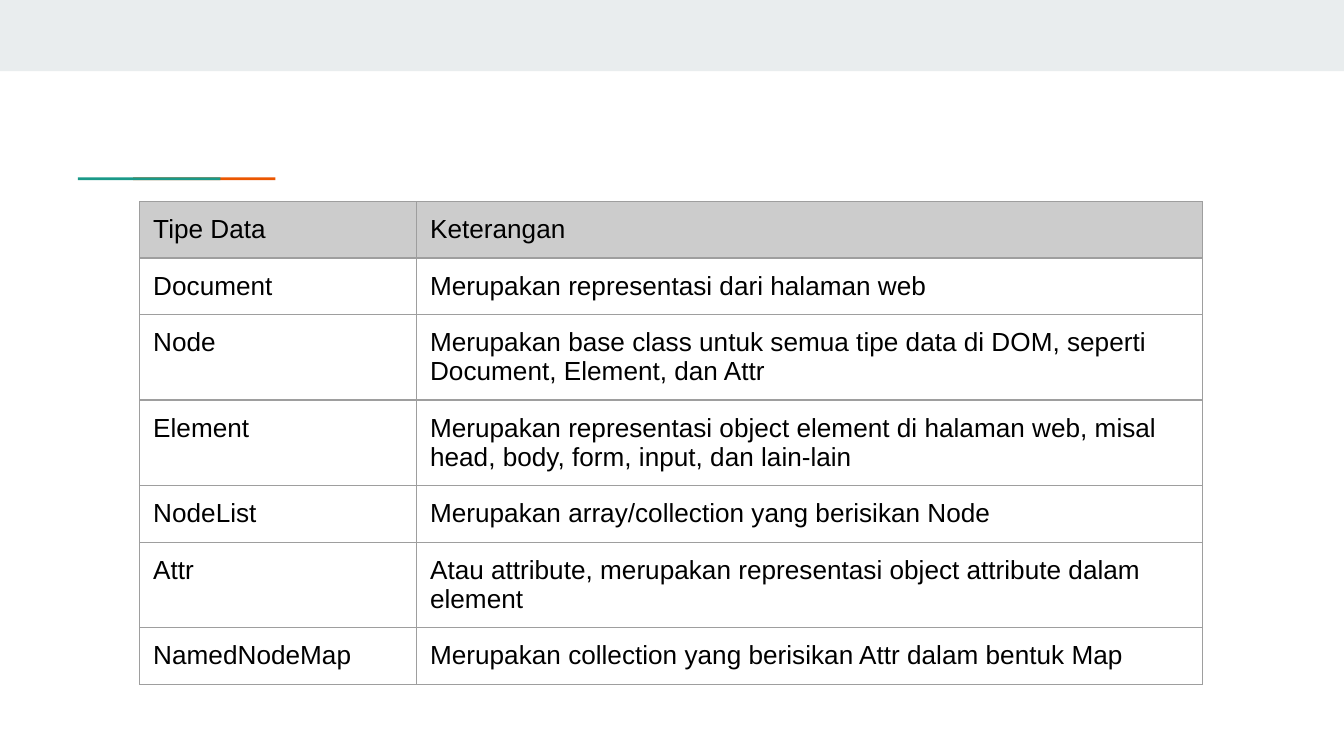
import pptx
import pptx.dml.color
import pptx.enum.shapes
import pptx.oxml
import pptx.oxml.ns
import pptx.util

Inches = pptx.util.Inches
RGBColor = pptx.dml.color.RGBColor

BAND = RGBColor(0xE9, 0xED, 0xEE)
ORANGE = RGBColor(0xEB, 0x56, 0x00)
TEAL = RGBColor(0x1A, 0x99, 0x88)
HEADER = RGBColor(0xCC, 0xCC, 0xCC)
BORDER = RGBColor(0x9E, 0x9E, 0x9E)
BLACK = RGBColor(0, 0, 0)


class Builder:
    font = "Arial"
    size = pptx.util.Pt(14)
    inset = Inches(0.1)
    border_width = pptx.util.Pt(0.75)

    def __init__(self, slide):
        self.s = slide

    def bar(self, x, y, w, h, color):
        sp = self.s.shapes.add_shape(
            pptx.enum.shapes.MSO_SHAPE.RECTANGLE,
            Inches(x), Inches(y), Inches(w), Inches(h))
        sp.shadow.inherit = False
        sp.fill.solid()
        sp.fill.fore_color.rgb = color
        sp.line.fill.background()

    def borders(self, cell):
        tc_pr = cell._tc.get_or_add_tcPr()
        for i, side in enumerate(("lnL", "lnR", "lnT", "lnB")):
            tc_pr.insert(i, pptx.oxml.parse_xml(
                f'<a:{side} {pptx.oxml.ns.nsdecls("a")} w="{self.border_width}">'
                f'<a:solidFill><a:srgbClr val="{BORDER}"/></a:solidFill></a:{side}>'))

    def cell(self, cell, text, fill):
        cell.margin_left = cell.margin_right = self.inset
        cell.margin_top = cell.margin_bottom = self.inset
        if fill is None:
            cell.fill.background()
        else:
            cell.fill.solid()
            cell.fill.fore_color.rgb = fill
        r = cell.text_frame.paragraphs[0].add_run()
        r.text = text
        r.font.name = self.font
        r.font.size = self.size
        r.font.color.rgb = BLACK
        self.borders(cell)

    def table(self, x, y, widths, row_height, rows):
        tbl = self.s.shapes.add_table(
            len(rows), len(widths), Inches(x), Inches(y),
            Inches(sum(widths)), Inches(row_height * len(rows))).table
        tbl.first_row = tbl.horz_banding = False
        for col, width in zip(tbl.columns, widths):
            col.width = Inches(width)
        for i, texts in enumerate(rows):
            tbl.rows[i].height = Inches(row_height)
            for j, text in enumerate(texts):
                self.cell(tbl.cell(i, j), text, HEADER if i == 0 else None)


DATA_TYPES = [
    ("Tipe Data", "Keterangan"),
    ("Document", "Merupakan representasi dari halaman web"),
    ("Node", "Merupakan base class untuk semua tipe data di DOM, "
             "seperti Document, Element, dan Attr"),
    ("Element", "Merupakan representasi object element di halaman web, "
                "misal head, body, form, input, dan lain-lain"),
    ("NodeList", "Merupakan array/collection yang berisikan Node"),
    ("Attr", "Atau attribute, merupakan representasi object attribute "
             "dalam element"),
    ("NamedNodeMap", "Merupakan collection yang berisikan Attr dalam bentuk Map"),
]

# Widescreen 16:9 page
prs = pptx.Presentation()
prs.slide_width = Inches(10)
prs.slide_height = prs.slide_width * 9 // 16
b = Builder(prs.slides.add_slide(prs.slide_layouts[6]))

# Top band
b.bar(0, 0, 10, 0.53, BAND)

# Two-colour accent rule, teal overlapping orange
for x, color in ((0.99, ORANGE), (0.58, TEAL)):
    b.bar(x, 1.32, 1.06, 0.02, color)

# Data type table
b.table(1.04, 1.5, (2.06, 5.85), 0.42, DATA_TYPES)

prs.save("out.pptx")
